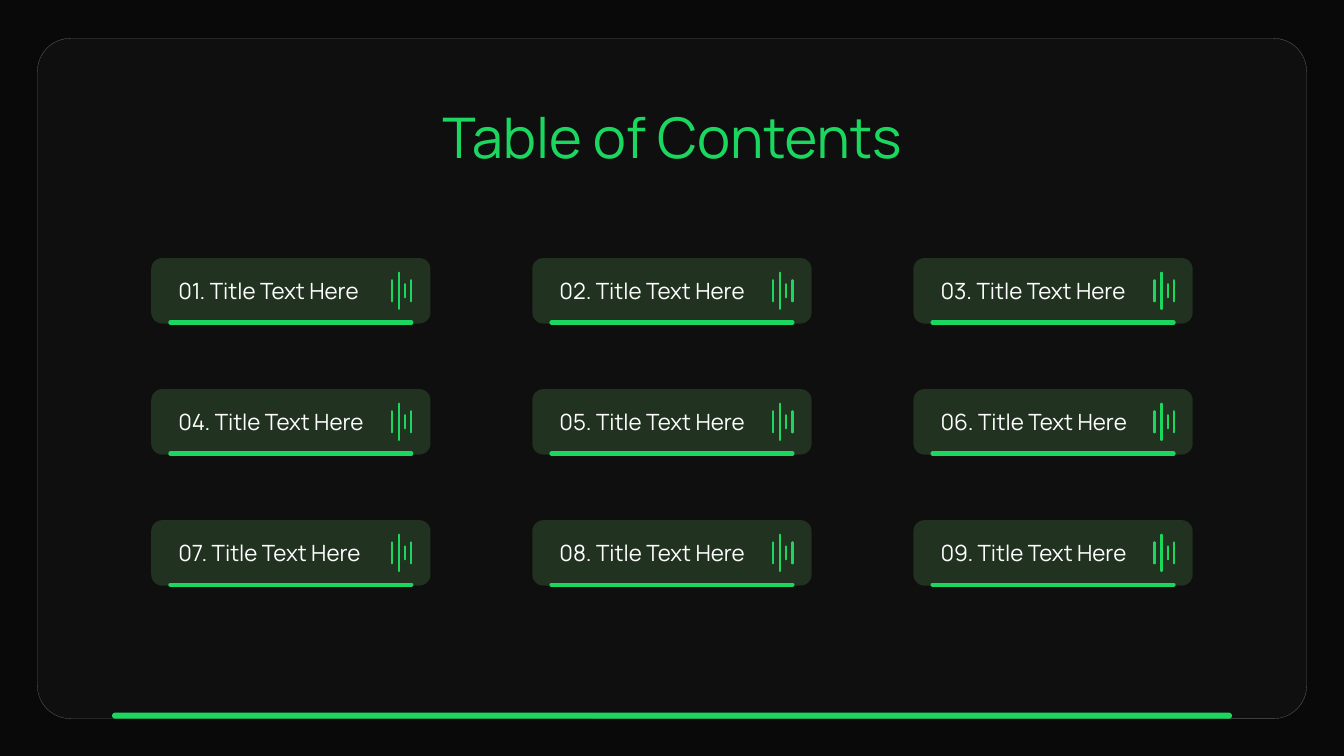
from dataclasses import dataclass
from itertools import product

from lxml import etree
from pptx import Presentation, util as u
from pptx.dml.color import RGBColor
from pptx.enum import shapes, text
from pptx.oxml import ns

WIDE, HIGH = 13.33, 7.5
FONT = "Manrope"
HUES = {
    "back": "090909",
    "panel": "0F0F0F",
    "edge": "5A5A5A",
    "card": "213220",
    "green": "1BD75F",
    "white": "FFFFFF",
}


@dataclass(frozen=True)
class Box:
    left: float
    top: float
    width: float
    height: float

    def emu(self) -> list[int]:
        return [u.Inches(n) for n in (self.left, self.top, self.width, self.height)]


@dataclass(frozen=True)
class Grid:
    left: float
    top: float
    across: float
    down: float
    cols: int
    rows: int

    def spot(self, row: int, col: int) -> tuple[float, float]:
        return self.left + col * self.across, self.top + row * self.down


@dataclass(frozen=True)
class Bar:
    """An upright stroke of the sound icon, measured within its card."""
    shift: float
    height: float


CARDS = Grid(left=1.5, top=2.56, across=3.78, down=1.3, cols=3, rows=3)
CARD_W, CARD_H = 2.77, 0.65
INSET = 0.19
BARS = [Bar(2.39, 0.21), Bar(2.58, 0.21), Bar(2.52, 0.13), Bar(2.46, 0.36)]


def hue(name: str) -> RGBColor:
    return RGBColor.from_string(HUES[name])


def add_round(slide, box: Box, fill: str, curve: float, edge: str = "") -> None:
    """Draw a rounded box whose corner radius is curve inches."""
    shape = slide.shapes.add_shape(shapes.MSO_SHAPE.ROUNDED_RECTANGLE, *box.emu())
    shape.adjustments[0] = curve / min(box.width, box.height)
    shape.shadow.inherit = False
    shape.fill.solid()
    shape.fill.fore_color.rgb = hue(fill)
    if edge:
        shape.line.color.rgb = hue(edge)
        shape.line.width = u.Pt(0.25)
    else:
        shape.line.fill.background()


def add_line(parent, box: Box, weight: float) -> None:
    """Draw a green line with round ends along a flat box."""
    x, y, width, height = box.emu()
    line = parent.shapes.add_connector(
        shapes.MSO_CONNECTOR.STRAIGHT, x, y, x + width, y + height)
    line.line.color.rgb = hue("green")
    line.line.width = u.Pt(weight)
    props = line._element.spPr
    props.find(ns.qn("a:ln")).set("cap", "rnd")
    etree.SubElement(props, ns.qn("a:effectLst"))


def add_text(slide, words: str, box: Box, *, size: float, color: str,
             align: text.PP_ALIGN = text.PP_ALIGN.LEFT) -> None:
    frame = slide.shapes.add_textbox(*box.emu()).text_frame
    frame.word_wrap = True
    para = frame.paragraphs[0]
    para.alignment = align
    run = para.add_run()
    run.text = words
    run.font.name = FONT
    run.font.size = u.Pt(size)
    run.font.color.rgb = hue(color)


def add_card(slide, label: str, left: float, top: float) -> None:
    add_round(slide, Box(left, top, CARD_W, CARD_H), "card", 0.11)
    icon = slide.shapes.add_group_shape()
    for bar in BARS:
        head = top + (CARD_H - bar.height) / 2
        add_line(icon, Box(left + bar.shift, head, 0, bar.height), 1.5)
    add_line(slide, Box(left + INSET, top + 0.64, CARD_W - 2 * INSET, 0), 3)
    add_text(slide, label, Box(left + 0.17, top + 0.14, 2.25, 0.37),
             size=16, color="white")


def main() -> None:
    deck = Presentation()
    deck.slide_width, deck.slide_height = u.Inches(WIDE), u.Inches(HIGH)
    slide = deck.slides.add_slide(deck.slide_layouts[6])
    slide.background.fill.solid()
    slide.background.fill.fore_color.rgb = hue("back")

    add_round(slide, Box(0.37, 0.38, 12.59, 6.75), "panel", 0.33, edge="edge")
    add_round(slide, Box(WIDE / 12, 7.07, WIDE * 10 / 12, 0.06), "green", 0.03)
    add_text(slide, "Table of Contents", Box(WIDE / 4, 0.97, WIDE / 2, 0.77),
             size=40, color="green", align=text.PP_ALIGN.CENTER)

    cells = product(range(CARDS.rows), range(CARDS.cols))
    for count, (row, col) in enumerate(cells, 1):
        add_card(slide, f"{count:02}. Title Text Here", *CARDS.spot(row, col))
    deck.save("out.pptx")


if __name__ == "__main__":
    main()
